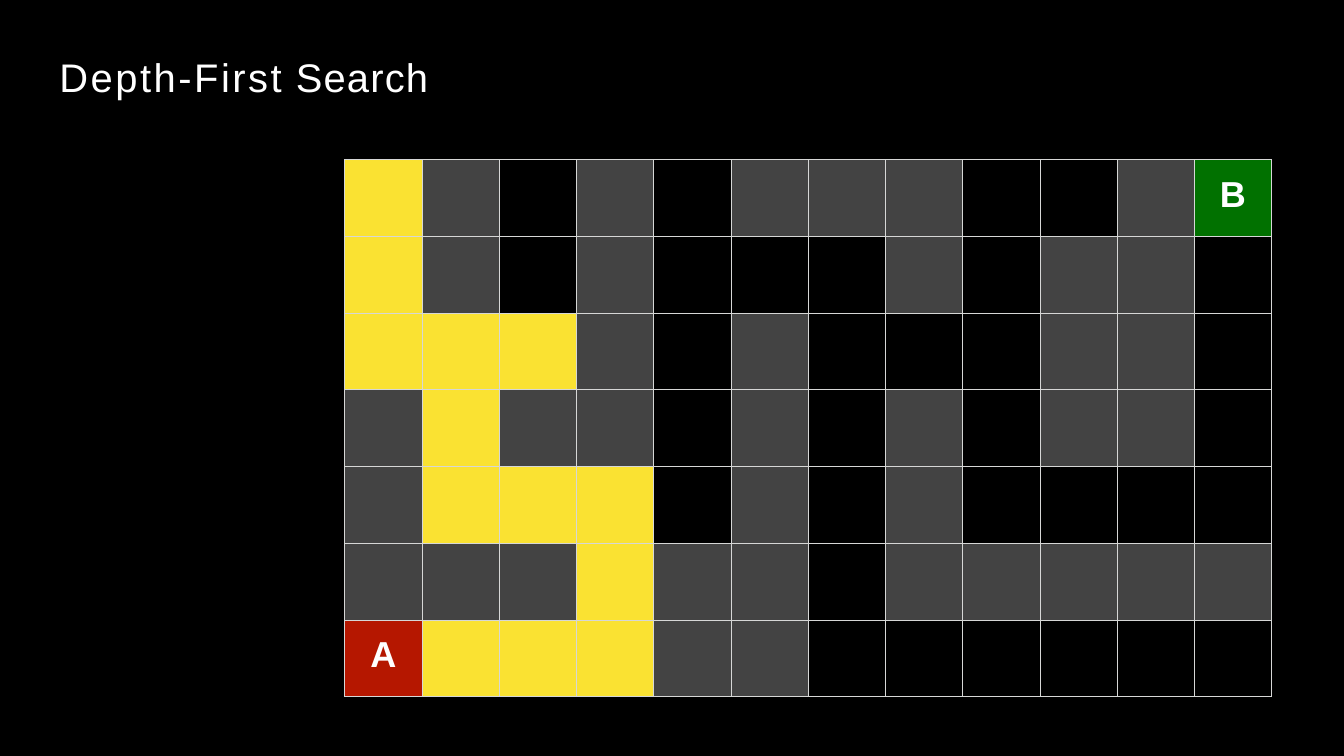
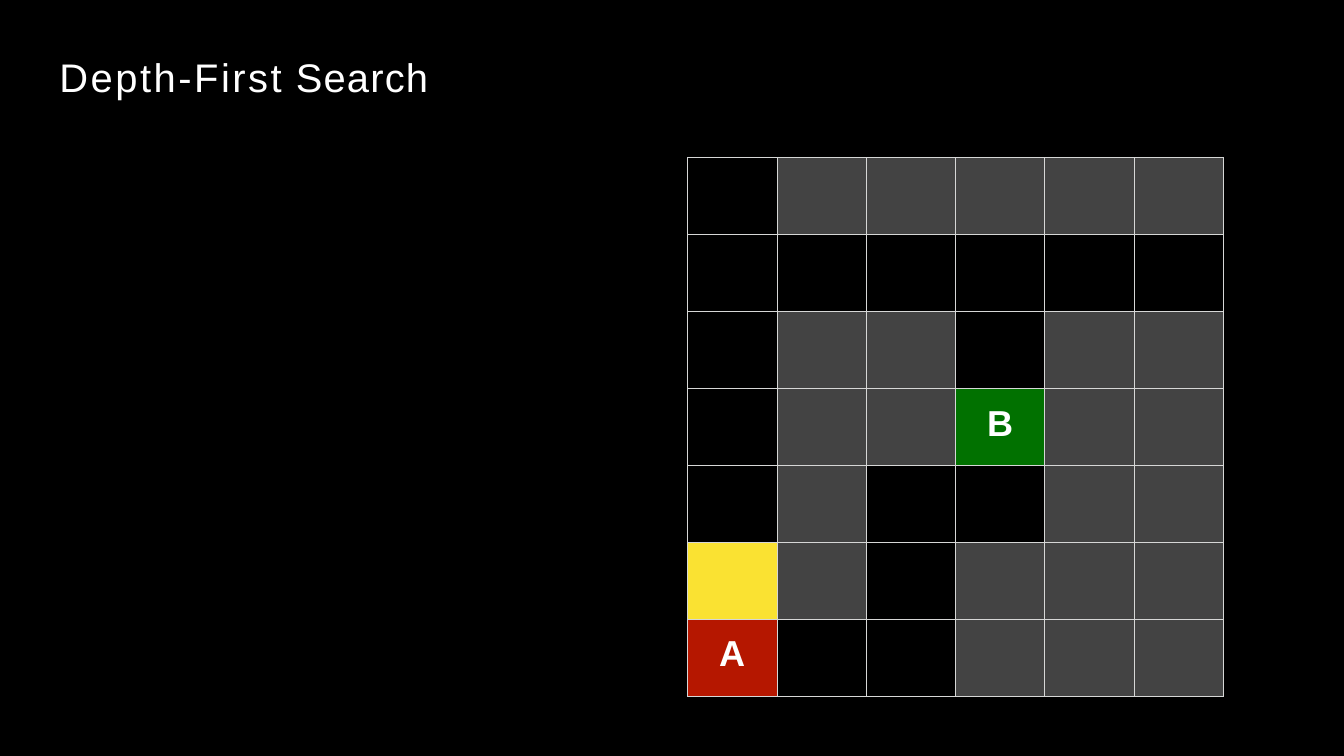
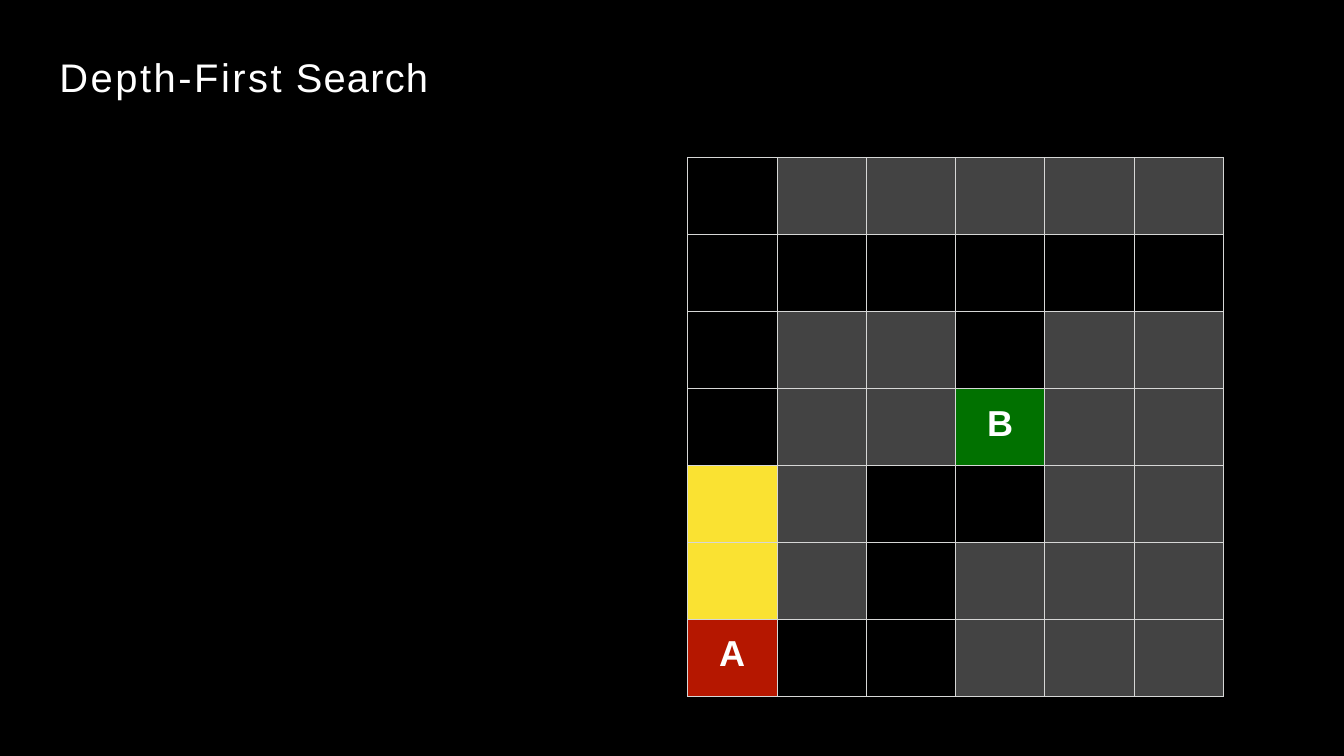
import dataclasses

import pptx
import pptx.dml.color
import pptx.enum.shapes
import pptx.enum.text
import pptx.oxml
import pptx.oxml.ns
import pptx.util

Inches = pptx.util.Inches
Pt = pptx.util.Pt


# Theme: colours and type
@dataclasses.dataclass(frozen=True)
class Theme:
    font: str = "Arial"
    title_size: float = 47
    letter_size: float = 42.5
    background: str = "000000"
    text: str = "FFFFFF"
    grid_line: str = "D6D7D6"
    grid_width: float = 1
    wall: str = "434343"
    passage: str = "000000"
    explored: str = "FAE232"
    start: str = "B51700"
    goal: str = "017100"


# Mazes: # wall, . passage, A start, B goal, digit = step that explores the cell
WIDE_MAZE = (
    "1#.#.###..#B",
    "1#.#...#.##.",
    "111#.#...##.",
    "#1##.#.#.##.",
    "#111.#.#....",
    "###1##.#####",
    "A111##......",
)
LOOP_MAZE = (
    ".#####",
    "......",
    ".##.##",
    ".##B##",
    "2#..##",
    "1#.###",
    "A..###",
)


def rgb(colour):
    return pptx.dml.color.RGBColor.from_string(colour)


class SearchDeck:
    def __init__(self, theme):
        self.theme = theme
        self.prs = pptx.Presentation()
        self.prs.slide_width = Inches(21.99)
        self.prs.slide_height = Inches(12.37)
        self.slide = None

    def add_slide(self):
        first = self.slide is None
        self.slide = self.prs.slides.add_slide(self.prs.slide_layouts[5])
        if first:
            self.master_backdrop()

    def master_backdrop(self):
        """Draw the full-size backdrop and move it behind all else on the master."""
        backdrop = self.slide.shapes.add_shape(
            pptx.enum.shapes.MSO_SHAPE.RECTANGLE, 0, 0,
            self.prs.slide_width, self.prs.slide_height)
        backdrop.shadow.inherit = False
        backdrop.fill.solid()
        backdrop.fill.fore_color.rgb = rgb(self.theme.background)
        backdrop.line.fill.background()
        backdrop._element.nvSpPr.cNvPr.set("id", "100")
        self.prs.slide_master.shapes._spTree.insert(2, backdrop._element)

    def style_run(self, run, size, bold=False):
        run.font.name = self.theme.font
        run.font.size = Pt(size)
        run.font.bold = bold
        run.font.color.rgb = rgb(self.theme.text)

    def title(self, spaced_words):
        """Fill the title with (words, letter spacing in points) pairs."""
        heading = self.slide.shapes.title
        heading.left, heading.top = Inches(0.96), Inches(0.86)
        heading.width, heading.height = Inches(6.1), Inches(0.81)
        frame = heading.text_frame
        frame.word_wrap = True
        frame.auto_size = pptx.enum.text.MSO_AUTO_SIZE.NONE
        frame.vertical_anchor = pptx.enum.text.MSO_ANCHOR.BOTTOM
        frame.margin_left = Inches(0.01)
        frame.margin_top = frame.margin_right = 0
        frame.margin_bottom = Inches(0.02)
        line = frame.paragraphs[0]
        line.alignment = pptx.enum.text.PP_ALIGN.LEFT
        for words, spacing in spaced_words:
            run = line.add_run()
            run.text = words
            self.style_run(run, self.theme.title_size)
            run.font._element.set("spc", str(round(spacing * 100)))

    def cell_colour(self, mark, step):
        if mark.isdigit():
            return self.theme.explored if int(mark) <= step else self.theme.passage
        return {"#": self.theme.wall, ".": self.theme.passage,
                "A": self.theme.start, "B": self.theme.goal}[mark]

    def cell_borders(self, cell):
        properties = cell._tc.get_or_add_tcPr()
        for side in ("lnL", "lnR", "lnT", "lnB"):
            properties.append(pptx.oxml.parse_xml(
                f'<a:{side} {pptx.oxml.ns.nsdecls("a")} '
                f'w="{Pt(self.theme.grid_width)}"><a:solidFill>'
                f'<a:srgbClr val="{self.theme.grid_line}"/>'
                f'</a:solidFill></a:{side}>'))

    def cell_letter(self, cell, letter):
        cell.margin_left = cell.margin_right = cell.margin_bottom = 0
        cell.margin_top = Inches(0.25)
        cell.text_frame.text = letter
        line = cell.text_frame.paragraphs[0]
        line.alignment = pptx.enum.text.PP_ALIGN.CENTER
        self.style_run(line.runs[0], self.theme.letter_size, bold=True)

    def maze(self, rows, step, left, top, width, height):
        """Draw the maze as it stands after the given step."""
        grid = self.slide.shapes.add_table(
            len(rows), len(rows[0]), Inches(left), Inches(top),
            Inches(width), Inches(height)).table
        grid.first_row = grid.horz_banding = False
        for r, row in enumerate(rows):
            for c, mark in enumerate(row):
                cell = grid.cell(r, c)
                self.cell_borders(cell)
                cell.fill.solid()
                cell.fill.fore_color.rgb = rgb(self.cell_colour(mark, step))
                if mark.isalpha():
                    self.cell_letter(cell, mark)


def main():
    deck = SearchDeck(Theme())
    wide_place = (5.64, 2.61, 15.17, 8.79)
    loop_place = (11.25, 2.58, 8.77, 8.81)

    # One slide per state of the search
    for rows, step, place in ((WIDE_MAZE, 1, wide_place),
                              (LOOP_MAZE, 1, loop_place),
                              (LOOP_MAZE, 2, loop_place)):
        deck.add_slide()
        deck.title((("Depth-First", 3), (" ", 0), ("Search", 1.4)))
        deck.maze(rows, step, *place)

    deck.prs.save("out.pptx")


if __name__ == "__main__":
    main()
